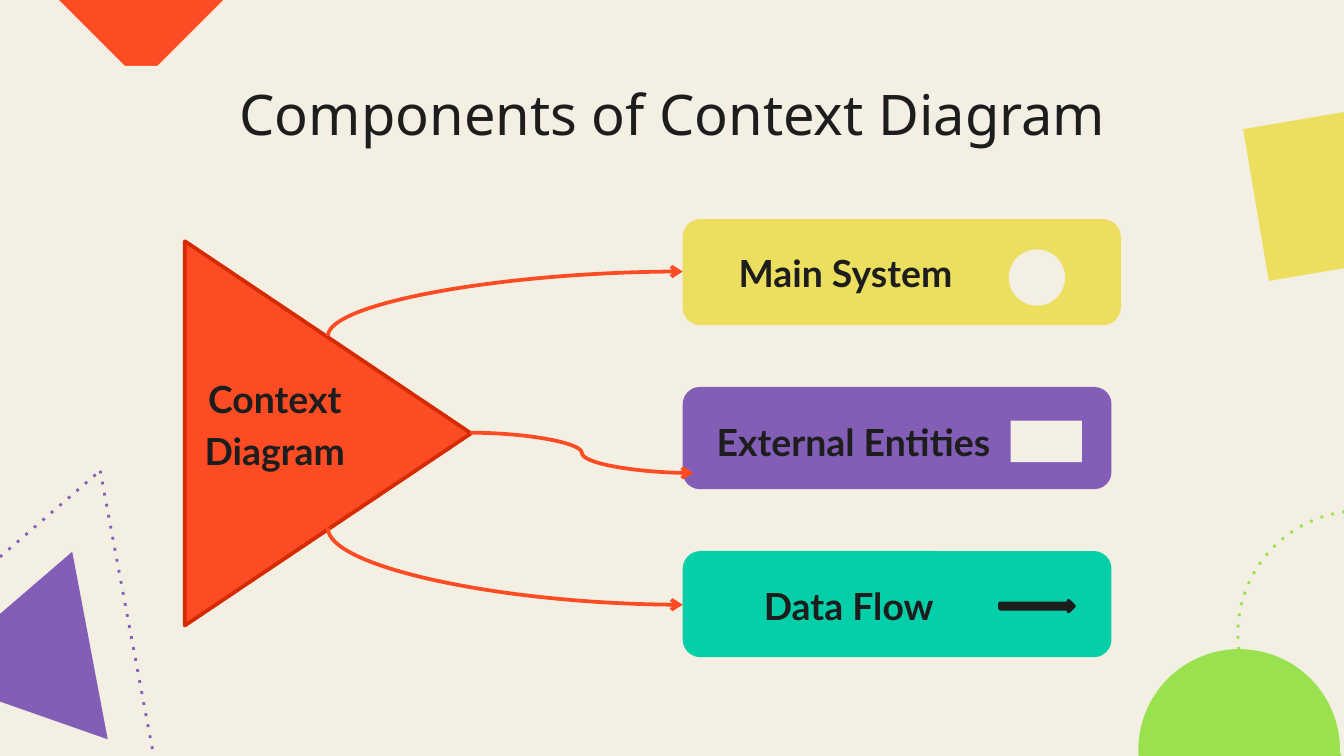
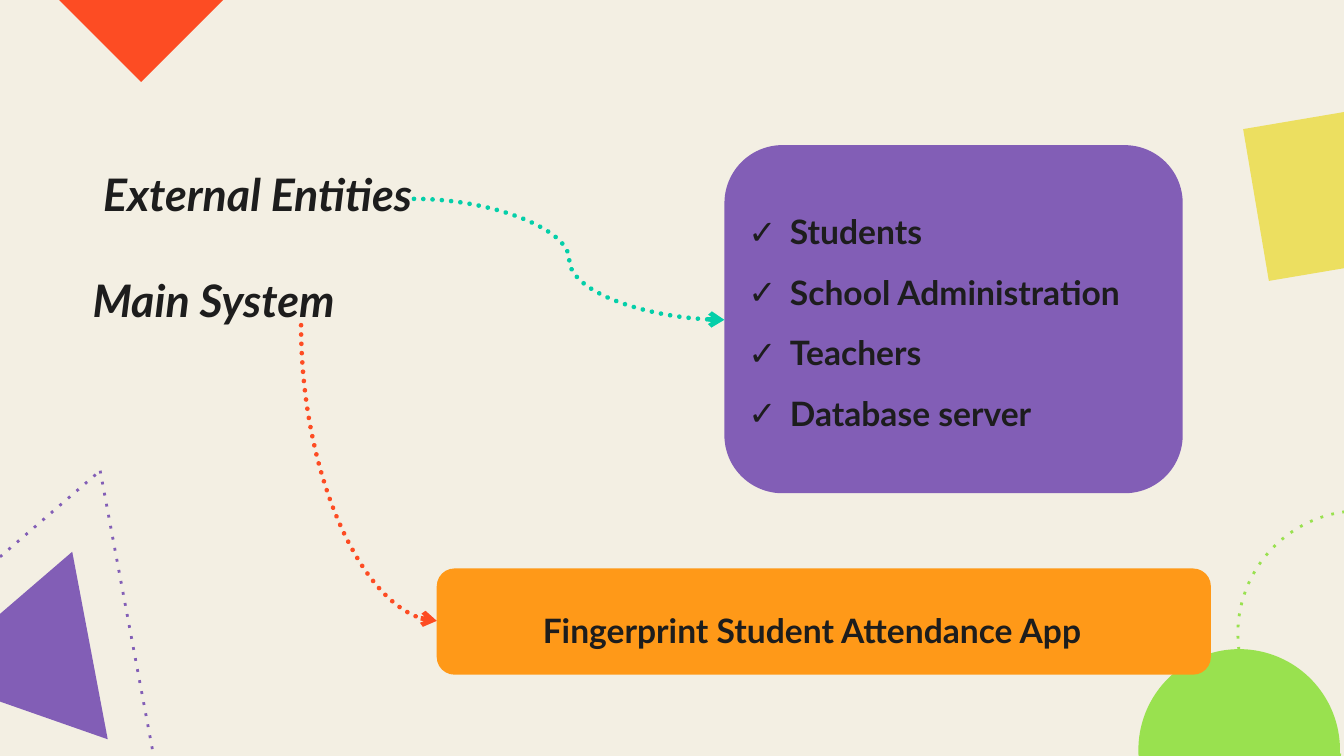
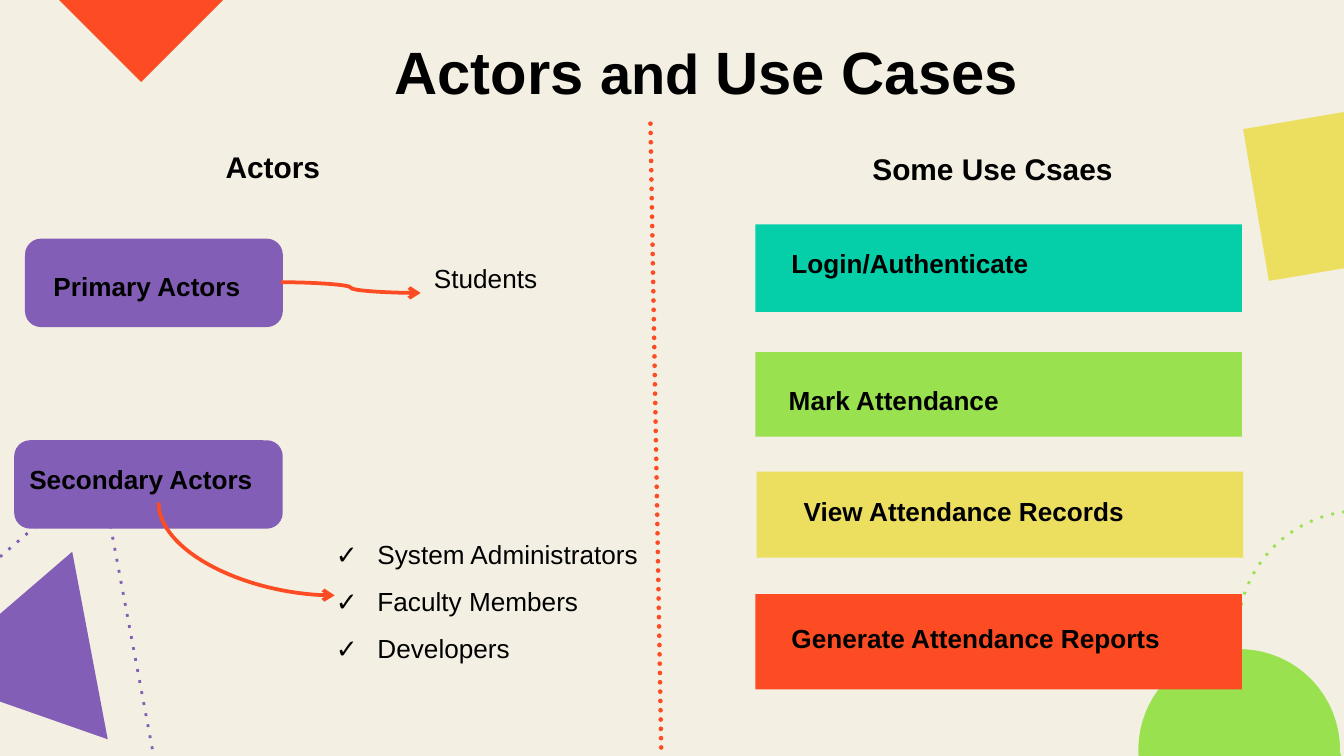
from lxml.etree import SubElement
from pptx import Presentation
from pptx.dml.color import RGBColor
from pptx.enum.shapes import MSO_CONNECTOR as Link, MSO_SHAPE as Form
from pptx.enum.text import MSO_ANCHOR as Anchor, MSO_AUTO_SIZE as Fit, PP_ALIGN as Align
from pptx.oxml.ns import qn
from pptx.util import Inches, Pt

COLORS = {
    "cream": "F3EFE3",
    "ink": "1D1D1D",
    "black": "000000",
    "red": "FD4C23",
    "brick": "D62A02",
    "yellow": "ECDF60",
    "purple": "825EB6",
    "teal": "04CFA9",
    "green": "99E14F",
    "orange": "FF9918",
}
LATO = {"font": "Lato", "color": "ink", "bold": True, "space": 1.15, "pad": 0.1}
ARIAL = {"font": "Arial", "color": "black", "pad": 0.05}
TITLE = {"font": "Noto Sans", "color": "ink", "pad": 0.1}
DECOR = [
    (Form.ISOSCELES_TRIANGLE, (-1, 4.15, 2.92, 2.52), 139.3, None, "purple"),
    (Form.OVAL, (8.47, 4.83, 1.5, 1.5), 180, "green", None),
    (Form.DIAMOND, (0.24, -1.01, 1.62, 1.62), 180, "red", None),
    (Form.DIAMOND, (9.1, 0.62, 1.62, 1.62), 215.4, "yellow", None),
    (Form.ISOSCELES_TRIANGLE, (-0.31, 4.42, 1.42, 1.23), 139.3, "purple", None),
    (Form.OVAL, (9.21, 3.8, 1.83, 1.83), 180, None, "green"),
]


def paint(fill, color):
    fill.solid()
    fill.fore_color.rgb = RGBColor.from_string(COLORS[color])


def pen(shape, color, width, dash=None, arrow=False):
    paint(shape.line.fill, color)
    shape.line.width = Pt(width)
    ln = shape.line._get_or_add_ln()
    if dash:
        SubElement(ln, qn("a:prstDash"), val=dash)
    if dash == "sysDot":
        ln.set("cap", "rnd")
    SubElement(ln, qn("a:round"))
    if arrow:
        SubElement(ln, qn("a:tailEnd"), type="arrow")


def block(slide, form, at, fill=None, line=None, width=2, dash=None, turn=0):
    shape = slide.shapes.add_shape(form, *map(Inches, at))
    shape.shadow.inherit = False
    shape.rotation = turn
    if fill:
        paint(shape.fill, fill)
    else:
        shape.fill.background()
    if line:
        pen(shape, line, width, dash)
    else:
        shape.line.fill.background()


def link(slide, kind, start, end, color, width=2, dash=None, arrow=True):
    line = slide.shapes.add_connector(kind, *map(Inches, (*start, *end)))
    pen(line, color, width, dash, arrow)
    SubElement(line._element.spPr, qn("a:effectLst"))
    return line


def bend(slide, start, end, color, width=2, dash=None):
    (x, y), (x2, y2) = start, end
    run, rise = x2 - x, abs(y2 - y)
    left, top = (x + x2 - rise) / 2, (y + y2 - run) / 2
    low, high = (left, top + run), (left + rise, top)
    if y2 < y:
        low, high = (left, top), (left + rise, top + run)
    line = link(slide, Link.CURVE, low, high, color, width, dash)
    props = line._element.spPr
    props.find(qn("a:xfrm")).set("rot", str((90 if y2 > y else 270) * 60000))
    props.find(qn("a:prstGeom")).set("prst", "curvedConnector2")


def text_box(slide, at, style, top=None, left=0.1, grow=False):
    box = slide.shapes.add_textbox(*map(Inches, at))
    frame = box.text_frame
    frame.word_wrap = True
    frame.vertical_anchor = Anchor.TOP
    frame.auto_size = Fit.SHAPE_TO_FIT_TEXT if grow else Fit.NONE
    frame.margin_left, frame.margin_right = Inches(left), Inches(0.1)
    frame.margin_top = Inches(style["pad"] if top is None else top)
    frame.margin_bottom = Inches(style["pad"])
    return box


def add_run(para, text, size, style, bold=None, italic=False):
    run = para.add_run()
    run.text = text
    font = run.font
    font.name, font.size = style["font"], Pt(size)
    font.bold = style.get("bold", False) if bold is None else bold
    font.italic = italic
    font.color.rgb = RGBColor.from_string(COLORS[style["color"]])


def label(slide, at, runs, style, mid=False, bold=None, italic=False, left=0.1, grow=False):
    box = text_box(slide, at, style, left=left, grow=grow)
    para = box.text_frame.paragraphs[0]
    para.alignment = Align.CENTER if mid else Align.LEFT
    para.line_spacing = style.get("space", 1.0)
    for text, size in runs:
        add_run(para, text, size, style, bold, italic)
    return box


def checks(slide, at, items, size, style, top=None):
    frame = text_box(slide, at, style, top).text_frame
    for i, item in enumerate(items):
        para = frame.add_paragraph() if i else frame.paragraphs[0]
        para.line_spacing = 1.5
        props = para._p.get_or_add_pPr()
        props.set("marL", str(Inches(0.31)))
        props.set("indent", str(-Inches(0.31)))
        tint = SubElement(props, qn("a:buClr"))
        SubElement(tint, qn("a:srgbClr"), val=COLORS[style["color"]])
        SubElement(props, qn("a:buFont"), typeface="Noto Sans")
        SubElement(props, qn("a:buChar"), char="✓")
        add_run(para, item, size, style)


def new_slide(deck):
    slide = deck.slides.add_slide(deck.slide_layouts[6])
    for form, at, turn, fill, line in DECOR:
        block(slide, form, at, fill, line, 1.5, "dot", turn)
    return slide


def parts(deck):
    slide = new_slide(deck)
    title = label(slide, (0.79, 0.49, 8.43, 0.63),
                  [("Components of Context Diagram", 30)], TITLE, mid=True)
    paint(title.fill, "cream")
    block(slide, Form.ISOSCELES_TRIANGLE, (1.01, 2.16, 2.86, 2.13), "red", "brick", turn=90)
    cards = [
        ("Main System", "yellow", (5.08, 1.63, 3.26, 0.79), (5.24, 1.71, 2.06, 0.62)),
        ("External Entities", "purple", (5.08, 2.88, 3.19, 0.76), (5.16, 2.97, 2.34, 0.58)),
        ("Data Flow", "teal", (5.08, 4.1, 3.19, 0.79), (5.18, 4.19, 2.23, 0.58)),
    ]
    for name, color, at, spot in cards:
        block(slide, Form.ROUNDED_RECTANGLE, at, color)
        label(slide, spot, [(name, 20)], LATO, mid=True, left=0.14)
    block(slide, Form.OVAL, (7.52, 1.87, 0.39, 0.39), "cream", "cream")
    block(slide, Form.RECTANGLE, (7.52, 3.13, 0.53, 0.31), "cream")
    block(slide, Form.RIGHT_ARROW, (7.44, 4.47, 0.55, 0.08), "ink", "ink")
    label(slide, (0.98, 2.65, 2.13, 1.09), [("Context Diagram", 20)], LATO, mid=True)
    bend(slide, (2.44, 2.5), (5.08, 2.02), "red")
    link(slide, Link.CURVE, (3.5, 3.22), (5.16, 3.52), "red")
    bend(slide, (2.44, 3.93), (5.08, 4.5), "red")


def system(deck):
    slide = new_slide(deck)
    block(slide, Form.ROUNDED_RECTANGLE, (3.25, 4.23, 5.76, 0.79), "orange")
    block(slide, Form.ROUNDED_RECTANGLE, (5.39, 1.08, 3.41, 2.59), "purple")
    checks(slide, (5.47, 1.08, 4.27, 1.95),
           ["Students", "School Administration", "Teachers", "Database server"],
           18, LATO, top=0.34)
    label(slide, (0.59, 1.87, 3.18, 0.41), [("Main System", 24)], LATO, italic=True)
    label(slide, (0.67, 1.08, 2.64, 0.41), [("External Entities", 24)], LATO, italic=True)
    label(slide, (3.94, 4.39, 4.38, 0.41),
          [("Fingerprint Student Attendance App", 18)], LATO)
    link(slide, Link.CURVE, (3.08, 1.48), (5.39, 2.38), "teal", 2.5, "sysDot")
    bend(slide, (2.24, 2.42), (3.25, 4.62), "red", 2.5, "sysDot")


def actors(deck):
    slide = new_slide(deck)
    heads = [
        ((1.58, 0.21, 7.35, 0.64), [("Actors ", 32), ("and ", 30), ("Use Cases", 32)]),
        ((1.22, 1.06, 1.62, 0.37), [("Actors", 16)]),
        ((6.28, 1.07, 2.21, 0.37), [("Some Use Csaes", 16)]),
    ]
    for at, runs in heads:
        label(slide, at, runs, ARIAL, mid=True, bold=True, grow=True)
    link(slide, Link.STRAIGHT, (4.84, 0.92), (4.92, 5.57), "red", 2.5, "sysDot", False)
    roles = [
        ("Primary Actors", (0.2, 1.79, 1.89, 0.63), (0.3, 1.96, 1.7, 0.34)),
        ("Secondary Actors", (0.12, 3.29, 1.97, 0.63), (0.12, 3.4, 2.13, 0.34)),
    ]
    for name, at, spot in roles:
        block(slide, Form.ROUNDED_RECTANGLE, at, "purple", "purple")
        label(slide, spot, [(name, 14)], ARIAL, bold=True, grow=True)
    label(slide, (3.13, 1.9, 1.71, 0.57), [("Students", 14)], ARIAL, grow=True)
    checks(slide, (2.4, 3.84, 3.11, 1.43),
           ["System Administrators", "Faculty Members", "Developers"], 14, ARIAL)
    link(slide, Link.CURVE, (2.09, 2.1), (3.13, 2.18), "red")
    bend(slide, (1.18, 3.74), (2.49, 4.43), "red")
    cases = [
        ("Login/Authenticate", "teal", (5.62, 1.67, 3.62, 0.65), (5.79, 1.79), 0.1),
        ("Mark Attendance", "green", (5.62, 2.62, 3.62, 0.63), (5.77, 2.81), 0.1),
        ("View Attendance Records", "yellow", (5.63, 3.51, 3.62, 0.64), (5.83, 3.64), 0.15),
        ("Generate Attendance Reports", "red", (5.62, 4.42, 3.62, 0.71), (5.79, 4.58), 0.1),
    ]
    for name, color, at, spot, left in cases:
        block(slide, Form.RECTANGLE, at, color)
        label(slide, (*spot, 3.19, 0.34), [(name, 14)], ARIAL,
              bold=True, left=left, grow=True)


def main():
    deck = Presentation()
    deck.slide_width = Inches(10)
    deck.slide_height = deck.slide_width * 9 // 16
    paint(deck.slide_master.background.fill, "cream")
    parts(deck)
    system(deck)
    actors(deck)
    deck.save("out.pptx")


if __name__ == "__main__":
    main()
